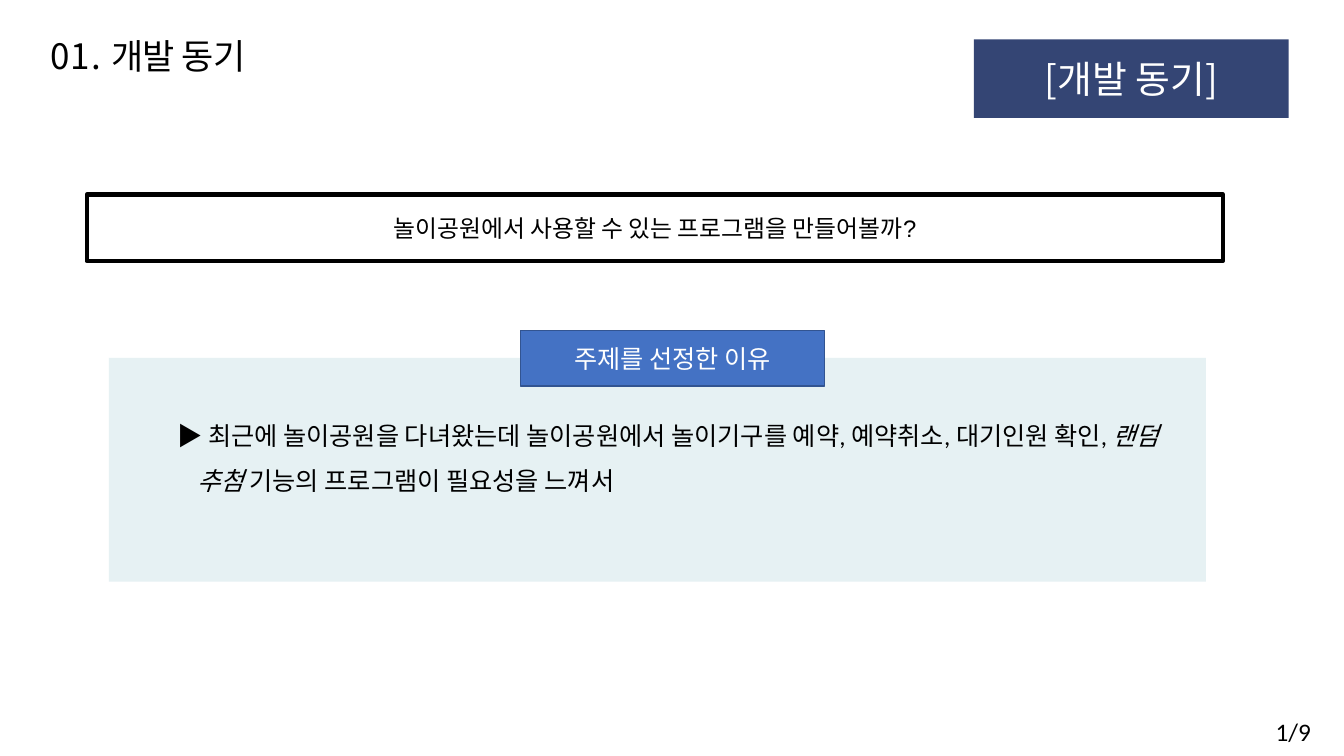
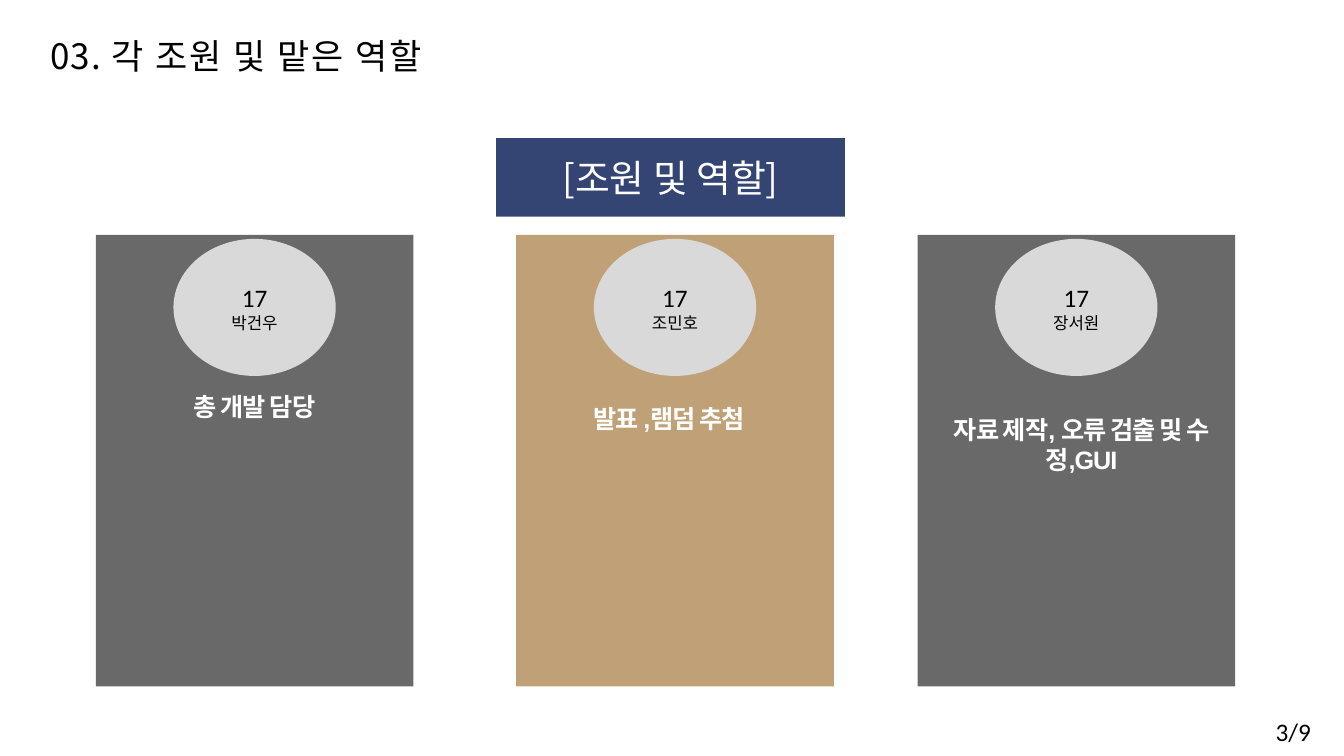
"""Build two slides on a park program: its motive and the team roles."""
from dataclasses import dataclass, field
from typing import Optional

from lxml.etree import SubElement
from pptx import Presentation
from pptx.dml.color import RGBColor
from pptx.enum.shapes import MSO_SHAPE
from pptx.enum.text import MSO_ANCHOR, MSO_AUTO_SIZE, PP_ALIGN
from pptx.oxml.ns import qn
from pptx.util import Inches, Pt

NOTO = "Noto Sans CJK KR"
BLACK, WHITE = "000000", "FFFFFF"
NAVY, BLUE, EDGE, PALE = "344574", "4472C4", "325491", "E6F1F3"
GRAY, TAN, SILVER = "696969", "C0A076", "D9D9D9"
RECT, OVAL = MSO_SHAPE.RECTANGLE, MSO_SHAPE.OVAL
LEFT, MID, RIGHT = PP_ALIGN.LEFT, PP_ALIGN.CENTER, PP_ALIGN.RIGHT


@dataclass
class Run:
    text: str
    size: float = 18
    name: str = "Calibri"
    color: str = BLACK
    space: float = 0
    look: dict = field(default_factory=dict)


@dataclass
class Par:
    runs: list[Run]
    align: PP_ALIGN = MID
    margin: float = 0
    indent: float = 0
    look: dict = field(default_factory=dict)


@dataclass
class Box:
    place: tuple[float, float, float, float]
    pars: list[Par] = field(default_factory=list)
    form: Optional[MSO_SHAPE] = None
    fill: str = WHITE
    edge: str = ""
    weight: float = 1
    frame: dict = field(default_factory=dict)


def hue(code: str) -> RGBColor:
    return RGBColor.from_string(code)


def apply(target, look: dict) -> None:
    for key, value in look.items():
        setattr(target, key, value)


def add_run(par, run: Run) -> None:
    part = par.add_run()
    part.text = run.text
    apply(part.font, {"size": Pt(run.size), "name": run.name, **run.look})
    part.font.color.rgb = hue(run.color)
    props = part.font._element
    props.set("spc", str(round(run.space * 100)))
    SubElement(props, qn("a:ea"), typeface=NOTO)


def add_text(frame, pars: list[Par]) -> None:
    for spot, item in enumerate(pars):
        par = frame.add_paragraph() if spot else frame.paragraphs[0]
        apply(par, {"alignment": item.align, **item.look})
        props = par._p.get_or_add_pPr()
        props.set("marL", str(Inches(item.margin)))
        props.set("indent", str(Inches(item.indent)))
        for run in item.runs:
            add_run(par, run)


def draw(slide, box: Box) -> None:
    place = [Inches(side) for side in box.place]
    if box.form is None:
        shape = slide.shapes.add_textbox(*place)
        look = {"word_wrap": True, "auto_size": MSO_AUTO_SIZE.SHAPE_TO_FIT_TEXT}
    else:
        shape = slide.shapes.add_shape(box.form, *place)
        shape.shadow.inherit = False
        shape.fill.solid()
        shape.fill.fore_color.rgb = hue(box.fill)
        if box.edge:
            shape.line.color.rgb = hue(box.edge)
            shape.line.width = Pt(box.weight)
        else:
            shape.line.fill.background()
        look = {"vertical_anchor": MSO_ANCHOR.MIDDLE}
    apply(shape.text_frame, {**look, **box.frame})
    add_text(shape.text_frame, box.pars)


BARE = {"margin_left": 0, "margin_top": 0, "margin_right": 0, "margin_bottom": 0}


def title(number: str, text: str, width: float, space: float) -> Box:
    runs = [Run(number, 25, NOTO, space=0.8), Run(text, 25, NOTO, space=space)]
    look = {"line_spacing": 0.9, "space_before": Pt(1)}
    frame = {**BARE, "margin_top": Inches(0.01), "vertical_anchor": MSO_ANCHOR.MIDDLE}
    return Box((0.49, 0.38, width, 0.39), [Par(runs, LEFT, 0.01, look=look)], frame=frame)


def banner(text: str, left: float, top: float, width: float) -> Box:
    pars = [Par([Run(text, 27, NOTO, WHITE)])]
    return Box((left, top, width, 0.78), pars, RECT, NAVY)


def footer(page: int) -> Box:
    pars = [Par([Run(f"{page}/9")], RIGHT)]
    return Box((12.54, 7.06, 0.56, 0.4), pars, frame={"word_wrap": False})


@dataclass
class Member:
    name: str
    role: str
    left: float
    fill: str
    place: tuple[float, float, float, float]


def card(who: Member) -> list[Box]:
    label = [Par([Run("17")]), Par([Run(who.name, 12)])]
    role = Run(who.role, 18, "Arial", WHITE, -0.7, {"bold": True})
    return [
        Box((who.left, 2.33, 3.15, 4.48), form=RECT, fill=who.fill),
        Box((who.left + 0.77, 2.37, 1.61, 1.36), label, OVAL, SILVER),
        Box(who.place, [Par([role])], frame=BARE),
    ]


REASON = [
    Run("▶", 18, "Noto Sans CJK JP", space=-0.3),
    Run(" 최근에 놀이공원을 다녀왔는데 놀이공원에서 놀이기구를 예약, 예약취소, 대기인원 확인, "),
    Run("랜덤 추첨 ", look={"italic": True}),
    Run("기능의 프로그램이 필요성을 느껴서"),
]
SPREAD = {"line_spacing": 1.5, "space_before": Pt(5.2)}
QUESTION = Run("놀이공원에서 사용할 수 있는 프로그램을 만들어볼까?", 17, "Arial")
MOTIVE = [
    title("01. ", "개발 동기", 2.44, -0.4),
    banner("[개발 동기]", 9.66, 0.39, 3.12),
    Box((0.86, 1.93, 11.27, 0.66), [Par([QUESTION])], RECT, WHITE, BLACK, 3),
    footer(1),
    Box((1.08, 3.55, 10.88, 2.22), form=RECT, fill=PALE),
    Box((1.6, 3.97, 10.36, 1.01), [Par(REASON, LEFT, 0.26, -0.2, SPREAD)]),
    Box((5.16, 3.28, 3.02, 0.55), [Par([Run("주제를 선정한 이유", color=WHITE)])],
        RECT, BLUE, EDGE),
]
TEAM = [
    Member("박건우", "총 개발 담당", 0.95, GRAY, (1.6, 3.88, 1.85, 0.54)),
    Member("조민호", "발표 ,램덤 추첨 ", 5.12, TAN, (5.72, 4, 1.88, 0.54)),
    Member("장서원", "자료 제작, 오류 검출 및 수정,GUI", 9.1, GRAY, (9.2, 4.11, 3.05, 0.91)),
]
ROLES = [
    banner("[조원 및 역할]", 4.92, 1.37, 3.46),
    footer(3),
    *(box for who in TEAM for box in card(who)),
    title("03.", " 각 조원 및 맡은 역할", 5.53, 1.4),
]


def main() -> None:
    deck = Presentation()
    apply(deck, {"slide_width": Inches(13.33), "slide_height": Inches(7.5)})
    for boxes in (MOTIVE, ROLES):
        slide = deck.slides.add_slide(deck.slide_layouts[6])
        for box in boxes:
            draw(slide, box)
    deck.save("out.pptx")


main()
